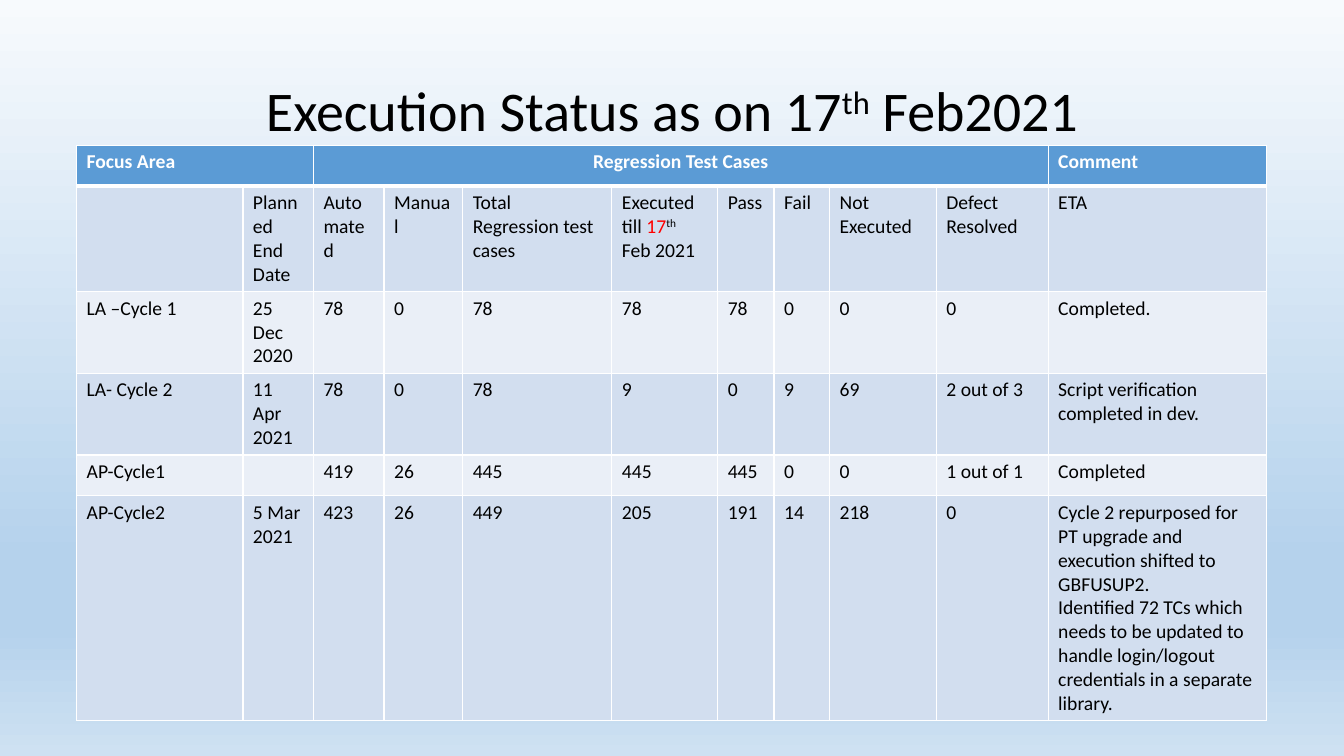
import copy

import pptx
import pptx.dml.color
import pptx.enum.text
import pptx.oxml
import pptx.oxml.ns
import pptx.util

Pt = pptx.util.Pt
RGBColor = pptx.dml.color.RGBColor
ALIGN = pptx.enum.text.PP_ALIGN
ANCHOR = pptx.enum.text.MSO_ANCHOR
qn = pptx.oxml.ns.qn

BLACK = RGBColor(0x00, 0x00, 0x00)
WHITE = RGBColor(0xFF, 0xFF, 0xFF)
RED = RGBColor(0xFF, 0x00, 0x00)
HEADER_BLUE = RGBColor(0x5B, 0x9B, 0xD5)
BAND_DARK = RGBColor(0xD2, 0xDE, 0xEF)
BAND_LIGHT = RGBColor(0xEA, 0xEF, 0xF7)
SKY_STOPS = [
    (0, RGBColor(0xF7, 0xFA, 0xFD)),
    (0.74, RGBColor(0xB5, 0xD2, 0xEC)),
    (0.83, RGBColor(0xB5, 0xD2, 0xEC)),
    (1, RGBColor(0xCE, 0xE1, 0xF2)),
]

FONT = "Calibri"
COLUMN_WIDTHS = [118.8, 50.4, 50.4, 56.2, 106.6, 75.6, 40.3, 39.6, 76.3, 79.9, 156.2]
ROW_HEIGHT = 29.2

# A text is a string, or a list of runs: (text, format that differs)
TITLE = [("Execution Status as on 17", {}), ("th", {"raised": True}), (" Feb2021", {})]
EXECUTED_TILL = [("Executed till ", {}), ("17", {"color": RED}),
                 ("th", {"raised": True}), (" Feb 2021", {})]

# First column, last column, text, alignment
HEADER_GROUPS = [
    (0, 1, "Focus Area", ALIGN.LEFT),
    (2, 9, "Regression Test Cases", ALIGN.CENTER),
    (10, 10, "Comment", ALIGN.LEFT),
]
STATUS_ROWS = [
    ["", "Planned End Date", "Automated", "Manual", "Total Regression test cases",
     EXECUTED_TILL, "Pass", "Fail", "Not Executed", "Defect Resolved", "ETA"],
    ["LA –Cycle 1", "25 Dec 2020", "78", "0", "78", "78", "78", "0", "0", "0",
     "Completed."],
    ["LA- Cycle 2", "11 Apr 2021", "78", "0", "78", "9", "0", "9", "69", "2 out of 3",
     "Script verification completed in dev. "],
    ["AP-Cycle1", "", "419", "26", "445", "445", "445", "0", "0", "1 out of 1",
     "Completed"],
    ["AP-Cycle2", "5 Mar 2021", "423", "26", "449", "205", "191", "14", "218", "0",
     "Cycle 2 repurposed for PT upgrade and execution shifted to GBFUSUP2.\n"
     "Identified 72 TCs which needs to be updated to handle login/logout "
     "credentials in a separate library."],
]


def write(frame, text, size=14, color=BLACK, bold=False, align=ALIGN.LEFT, spacing=None):
    """Fill a text frame; a line break in a string starts a new paragraph."""
    lines = [[(line, {})] for line in text.split("\n")] if isinstance(text, str) else [text]
    for index, runs in enumerate(lines):
        paragraph = frame.add_paragraph() if index else frame.paragraphs[0]
        paragraph.alignment = align
        paragraph.line_spacing = spacing
        paragraph.font.size = Pt(size)
        for words, change in runs:
            if not words:
                continue
            run = paragraph.add_run()
            run.text = words
            run.font.name = FONT
            run.font.size = Pt(size)
            run.font.bold = bold
            run.font.color.rgb = change.get("color", color)
            if change.get("raised"):
                run._r.get_or_add_rPr().set("baseline", "30000")


def paint_background(slide):
    sky = slide.background.fill
    sky.gradient()
    sky.gradient_angle = 270
    stop_list = slide._element.find(".//" + qn("a:gsLst"))
    while len(stop_list) < len(SKY_STOPS):
        stop_list.append(copy.deepcopy(stop_list[0]))
    for stop, (position, color) in zip(sky.gradient_stops, SKY_STOPS):
        stop.position = position
        stop.color.rgb = color


def paint_cell(cell, fill, top=1, bottom=1):
    """Give a cell white borders and a plain fill."""
    properties = cell._tc.get_or_add_tcPr()
    for side, width in (("L", 1), ("R", 1), ("T", top), ("B", bottom)):
        properties.append(pptx.oxml.parse_xml(
            f'<a:ln{side} xmlns:a="http://schemas.openxmlformats.org/drawingml/2006/main"'
            f' w="{Pt(width)}"><a:solidFill><a:srgbClr val="{WHITE}"/></a:solidFill>'
            f'</a:ln{side}>'))
    cell.fill.solid()
    cell.fill.fore_color.rgb = fill


def add_title(slide):
    title = slide.shapes.title
    title.left, title.top, title.width, title.height = Pt(66), Pt(28.8), Pt(828), Pt(104.4)
    title.text_frame.auto_size = pptx.enum.text.MSO_AUTO_SIZE.NONE
    title.text_frame.vertical_anchor = ANCHOR.MIDDLE
    write(title.text_frame, TITLE, size=40, align=ALIGN.CENTER, spacing=0.9)


def add_status_table(slide):
    height = Pt(406)
    holder = slide.shapes.add_table(len(STATUS_ROWS) + 1, len(COLUMN_WIDTHS),
                                    Pt(54.7), Pt(103.7), Pt(sum(COLUMN_WIDTHS)), height)
    status = holder.table
    for column, width in zip(status.columns, COLUMN_WIDTHS):
        column.width = Pt(width)
    # Rows grow with their text
    for row in status.rows:
        row.height = Pt(ROW_HEIGHT)
    holder.height = height

    # Header groups
    for cell in status.rows[0].cells:
        paint_cell(cell, HEADER_BLUE, bottom=3)
    for first, last, text, align in HEADER_GROUPS:
        group = status.cell(0, first)
        if last > first:
            group.merge(status.cell(0, last))
        write(group.text_frame, text, color=WHITE, bold=True, align=align)

    # Column names and cycles, in bands
    for row, texts in enumerate(STATUS_ROWS, start=1):
        for column, text in enumerate(texts):
            cell = status.cell(row, column)
            paint_cell(cell, BAND_DARK if row % 2 else BAND_LIGHT, top=3 if row == 1 else 1)
            write(cell.text_frame, text)


def main():
    deck = pptx.Presentation()
    deck.slide_width, deck.slide_height = Pt(960), Pt(540)
    slide = deck.slides.add_slide(deck.slide_layouts[5])
    paint_background(slide)
    add_title(slide)
    add_status_table(slide)
    deck.save("out.pptx")


main()
